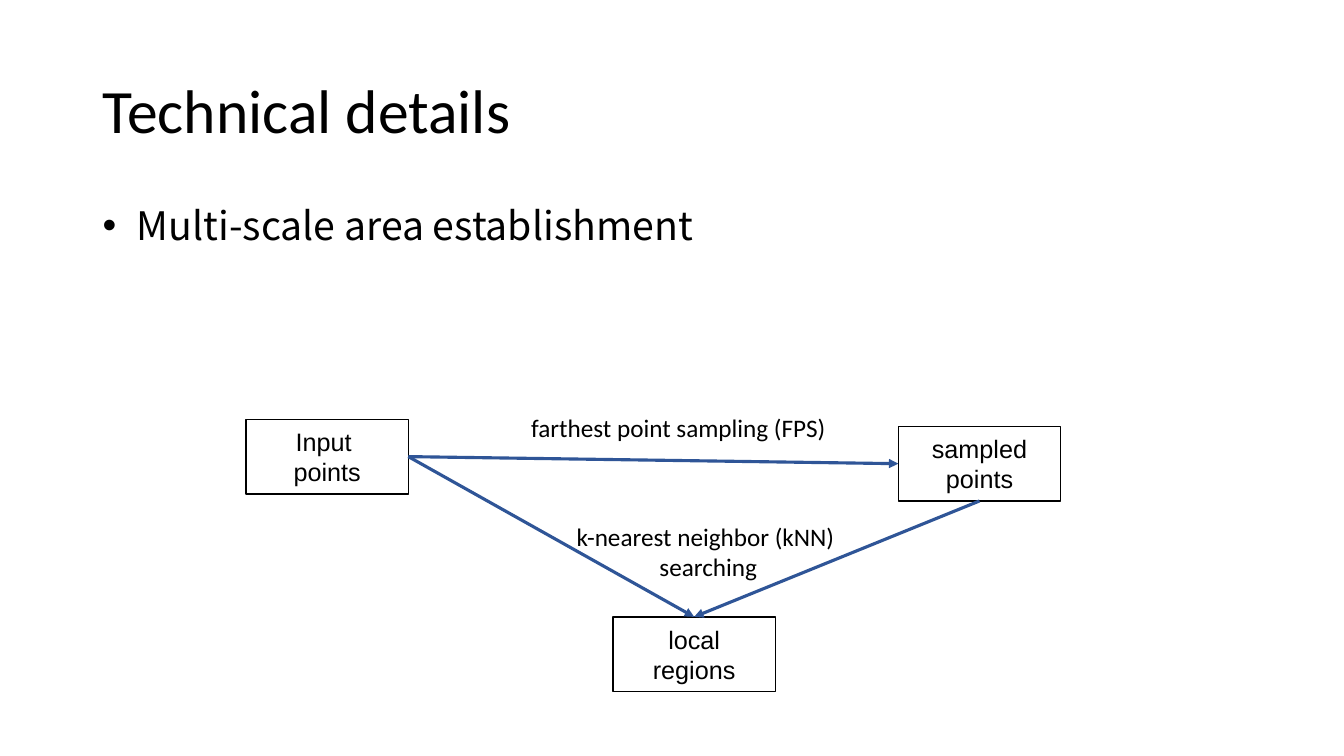
import pptx
import pptx.util
import pptx.dml.color
import pptx.enum.shapes
import pptx.enum.text
import pptx.oxml.ns
from lxml import etree

Inches, Pt = pptx.util.Inches, pptx.util.Pt
qn = pptx.oxml.ns.qn
ANCHOR = pptx.enum.text.MSO_ANCHOR
ALIGN = pptx.enum.text.PP_ALIGN
AUTO = pptx.enum.text.MSO_AUTO_SIZE

COLORS = {"text": "000000", "fill": "FFFFFF", "border": "000000", "arrow": "2F5597"}
TOP, LEFT, BOTTOM, RIGHT = range(4)  # connection sites of a rectangle
NODE_W, NODE_H = 1.61, 0.74


def rgb(name):
    return pptx.dml.color.RGBColor.from_string(COLORS[name])


def write(tf, lines, size, font, align=ALIGN.LEFT):
    tf.text = "\n".join(lines)
    for p in tf.paragraphs:
        p.alignment = align
        for r in p.runs:
            r.font.size = Pt(size)
            r.font.name = font
            r.font.color.rgb = rgb("text")


def add_text(s, box, lines, size, font, align=ALIGN.LEFT):
    sp = s.shapes.add_textbox(*map(Inches, box))
    tf = sp.text_frame
    tf.word_wrap = True
    write(tf, lines, size, font, align)
    return tf


def add_title(s, box, text):
    tf = add_text(s, box, [text], 44, "Calibri")
    tf.vertical_anchor = ANCHOR.MIDDLE
    tf.paragraphs[0].line_spacing = 0.9


def add_body(s, box, text):
    tf = add_text(s, box, [text], 28, "Noto Sans CJK SC")
    p = tf.paragraphs[0]
    p.line_spacing = 0.9
    # Bullet with a hanging indent
    pPr = p._p.get_or_add_pPr()
    indent = Inches(0.34)
    pPr.set("marL", str(indent))
    pPr.set("indent", str(-indent))
    etree.SubElement(pPr, qn("a:buFont")).set("typeface", "Arial")
    etree.SubElement(pPr, qn("a:buChar")).set("char", "•")


def add_node(s, x, y, lines):
    sp = s.shapes.add_shape(pptx.enum.shapes.MSO_SHAPE.RECTANGLE,
                            Inches(x), Inches(y), Inches(NODE_W), Inches(NODE_H))
    sp.shadow.inherit = False
    sp.fill.solid()
    sp.fill.fore_color.rgb = rgb("fill")
    sp.line.color.rgb = rgb("border")
    sp.line.width = Pt(1)
    tf = sp.text_frame
    tf.word_wrap = False
    tf.vertical_anchor = ANCHOR.MIDDLE
    write(tf, lines, 18, "Arial", ALIGN.CENTER)
    return sp


def add_arrow(s, start, start_site, end, end_site):
    c = s.shapes.add_connector(pptx.enum.shapes.MSO_CONNECTOR.STRAIGHT, 0, 0, 0, 0)
    c.begin_connect(start, start_site)
    c.end_connect(end, end_site)
    c.line.color.rgb = rgb("arrow")
    c.line.width = Pt(2.25)
    etree.SubElement(c.line._get_or_add_ln(), qn("a:tailEnd")).set("type", "triangle")
    etree.SubElement(c._element.spPr, qn("a:effectLst"))


def add_diagram(s, box):
    x, y = box[:2]
    # Nodes
    source = add_node(s, x, y + 0.12, ["Input ", "points"])
    sampled = add_node(s, x + 6.47, y + 0.19, ["sampled", "points"])
    local = add_node(s, x + 3.64, y + 2.08, ["local", "regions"])
    # Arrows
    add_arrow(s, source, RIGHT, sampled, LEFT)
    add_arrow(s, sampled, BOTTOM, local, TOP)
    add_arrow(s, source, RIGHT, local, TOP)
    # Labels of the steps
    for dx, dy, w, h, lines, align in [
        (2.73, 0, 3.24, 0.4, ["farthest point sampling (FPS)"], ALIGN.LEFT),
        (2.86, 1.08, 3.45, 0.71, ["k-nearest neighbor (kNN) ", "searching"], ALIGN.CENTER),
    ]:
        tf = add_text(s, (x + dx, y + dy, w, h), lines, 18, "Calibri", align)
        tf.auto_size = AUTO.SHAPE_TO_FIT_TEXT


def main():
    prs = pptx.Presentation()
    prs.slide_width, prs.slide_height = Inches(13.33), Inches(7.5)
    s = prs.slides.add_slide(prs.slide_layouts[6])
    add_title(s, (0.92, 0.4, 11.5, 1.45), "Technical details")
    add_body(s, (0.92, 2, 11.5, 1), "Multi-scale area establishment")
    add_diagram(s, (2.44, 4.04, 8.08, 2.82))
    prs.save("out.pptx")


if __name__ == "__main__":
    main()
